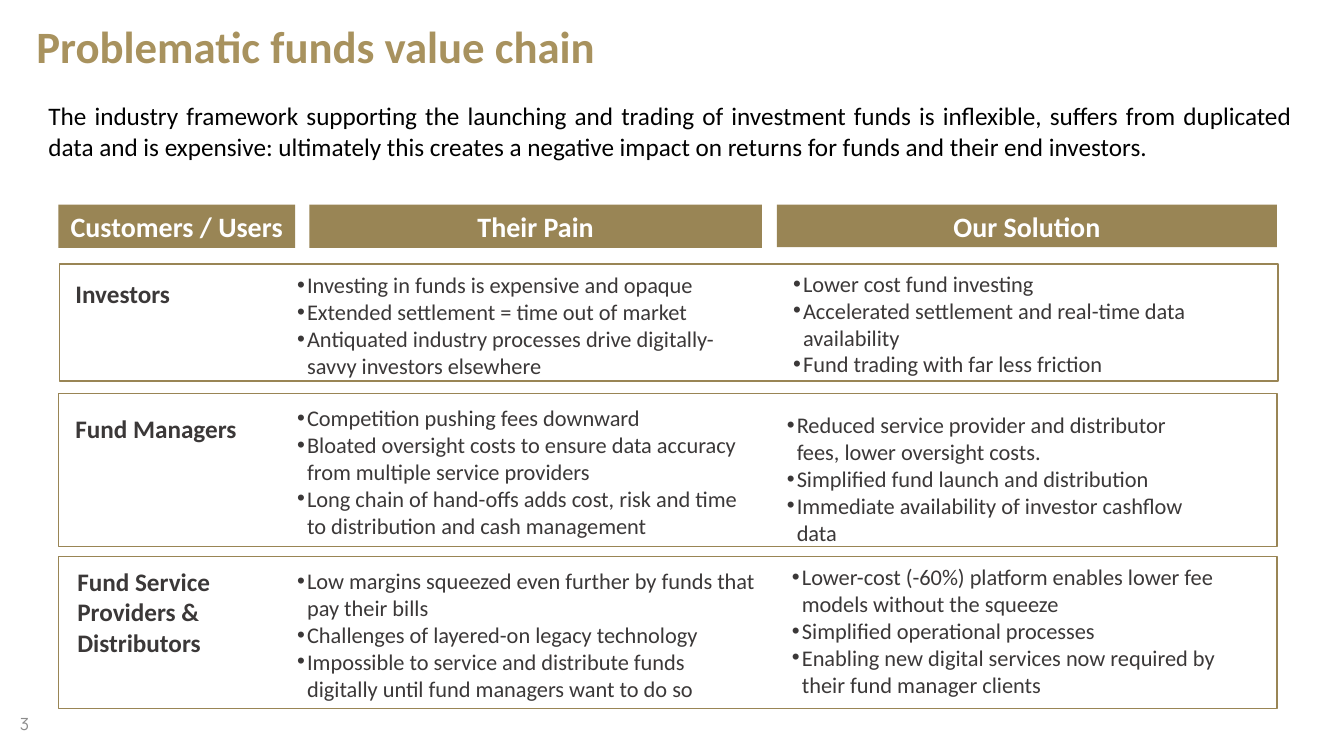
from lxml import etree
from pptx import Presentation
from pptx.dml.color import RGBColor
from pptx.enum.shapes import MSO_SHAPE
from pptx.enum.text import MSO_ANCHOR, MSO_AUTO_SIZE, PP_ALIGN
from pptx.oxml.ns import qn
from pptx.util import Cm, Pt

RECTANGLE = MSO_SHAPE.RECTANGLE
TOP, MIDDLE = MSO_ANCHOR.TOP, MSO_ANCHOR.MIDDLE
NO_AUTOFIT = MSO_AUTO_SIZE.NONE
LEFT, CENTER, JUSTIFY = PP_ALIGN.LEFT, PP_ALIGN.CENTER, PP_ALIGN.JUSTIFY

GOLD = RGBColor(0xA8, 0x92, 0x5E)
BRONZE = RGBColor(0x99, 0x85, 0x55)
CHARCOAL = RGBColor(0x3B, 0x38, 0x38)
GRAY = RGBColor(0x8C, 0x8C, 0x8C)
BLACK = RGBColor(0, 0, 0)
WHITE = RGBColor(0xFF, 0xFF, 0xFF)

TITLE = {"name": "Calibri", "size": Pt(32), "bold": True, "color": GOLD}
INTRO = {"name": "Calibri", "size": Pt(18), "bold": False, "color": BLACK}
HEADER = {"name": "Calibri", "size": Pt(20), "bold": True, "color": WHITE}
LABEL = {"name": "Calibri", "size": Pt(18), "bold": True, "color": CHARCOAL}
BULLET = {"name": "Calibri", "size": Pt(16), "bold": False, "color": CHARCOAL}
NUMBER = {"name": "Manrope", "size": Pt(12), "bold": False, "color": GRAY}

HEADERS = [
    ("Customers / Users", 1.47, 5.97, 1.09),
    ("Their Pain", 7.8, 11.4, 1.09),
    ("Our Solution", 19.58, 12.6, 1.07),
]

ROWS = [
    {
        "frame": (1.5, 6.65, 30.71, 2.95),
        "label": ("Investors", (1.65, 6.88, 5.97, 2.57)),
        "pain": ([
            "Investing in funds is expensive and opaque",
            "Extended settlement = time out of market",
            "Antiquated industry processes drive digitally-savvy investors elsewhere",
        ], (7.24, 6.71, 12.04, 3)),
        "solution": ([
            "Lower cost fund investing",
            "Accelerated settlement and real-time data availability",
            "Fund trading with far less friction",
        ], (19.74, 6.68, 12.47, 3)),
    },
    {
        "frame": (1.47, 9.91, 30.71, 3.86),
        "label": ("Fund Managers", (1.65, 10.29, 5.97, 2.57)),
        "pain": ([
            "Competition pushing fees downward",
            "Bloated oversight costs to ensure data accuracy from multiple service providers",
            "Long chain of hand-offs adds cost, risk and time to distribution and cash management",
        ], (7.24, 10.06, 11.73, 4.37)),
        "solution": ([
            "Reduced service provider and distributor fees, lower oversight costs.",
            "Simplified fund launch and distribution",
            "Immediate availability of investor cashflow data",
        ], (19.58, 10.24, 11.13, 3.68)),
    },
    {
        "frame": (1.47, 14.02, 30.71, 3.84),
        "label": ("Fund Service Providers & Distributors", (1.7, 14.15, 6.22, 2.57)),
        "pain": ([
            "Low margins squeezed even further by funds that pay their bills",
            "Challenges of layered-on legacy technology",
            "Impossible to service and distribute funds digitally until fund managers want to do so",
        ], (7.24, 14.17, 12.04, 3.68)),
        "solution": ([
            "Lower-cost (-60%) platform enables lower fee models without the squeeze",
            "Simplified operational processes",
            "Enabling new digital services now required by their fund manager clients",
        ], (19.71, 14.07, 12.04, 4.37)),
    },
]


def write(shape, lines, style, align=LEFT, anchor=TOP, bulleted=False):
    frame = shape.text_frame
    frame.word_wrap = True
    frame.auto_size = NO_AUTOFIT
    frame.vertical_anchor = anchor
    for index, line in enumerate(lines):
        para = frame.add_paragraph() if index else frame.paragraphs[0]
        para.alignment = align
        span = para.add_run()
        span.text = line
        for key, value in style.items():
            if key == "color":
                span.font.color.rgb = value
            else:
                setattr(span.font, key, value)
        if bulleted:
            properties = para._p.get_or_add_pPr()
            properties.set("marL", str(Cm(0.25)))
            properties.set("indent", str(Cm(-0.25)))
            etree.SubElement(properties, qn("a:buFont"), typeface="Arial")
            etree.SubElement(properties, qn("a:buChar"), char="•")


def add_text(place, lines, style, **options):
    box = page.shapes.add_textbox(*map(Cm, place))
    write(box, lines, style, **options)


deck = Presentation()
deck.slide_width, deck.slide_height = Cm(33.87), Cm(19.05)
page = deck.slides.add_slide(deck.slide_layouts[5])

title = page.shapes.title
title.left, title.top, title.width, title.height = map(Cm, (0.66, 0.61, 30, 1.37))
write(title, ["Problematic funds value chain"], TITLE)
title.text_frame.paragraphs[0].line_spacing = 0.8

add_text((0.97, 2.41, 31.85, 1.8), [
    "The industry framework supporting the launching and trading of investment funds "
    "is inflexible, suffers from duplicated data and is expensive: ultimately this "
    "creates a negative impact on returns for funds and their end investors."
], INTRO, align=JUSTIFY)

for heading, left, width, height in HEADERS:
    band = page.shapes.add_shape(RECTANGLE, Cm(left), Cm(5.16), Cm(width), Cm(height))
    band.shadow.inherit = False
    band.fill.solid()
    band.fill.fore_color.rgb = BRONZE
    band.line.fill.background()
    write(band, [heading], HEADER, align=CENTER, anchor=MIDDLE)

for row in ROWS:
    outline = page.shapes.add_shape(RECTANGLE, *map(Cm, row["frame"]))
    outline.shadow.inherit = False
    outline.fill.background()
    outline.line.color.rgb = BRONZE
    outline.line.width = Pt(1)
    label, label_place = row["label"]
    add_text(label_place, [label], LABEL)
    for column in ("pain", "solution"):
        points, place = row[column]
        add_text(place, points, BULLET, bulleted=True)

add_text((0.25, 17.73, 7.62, 1.02), ["3"], NUMBER, anchor=MIDDLE)

deck.save("out.pptx")
